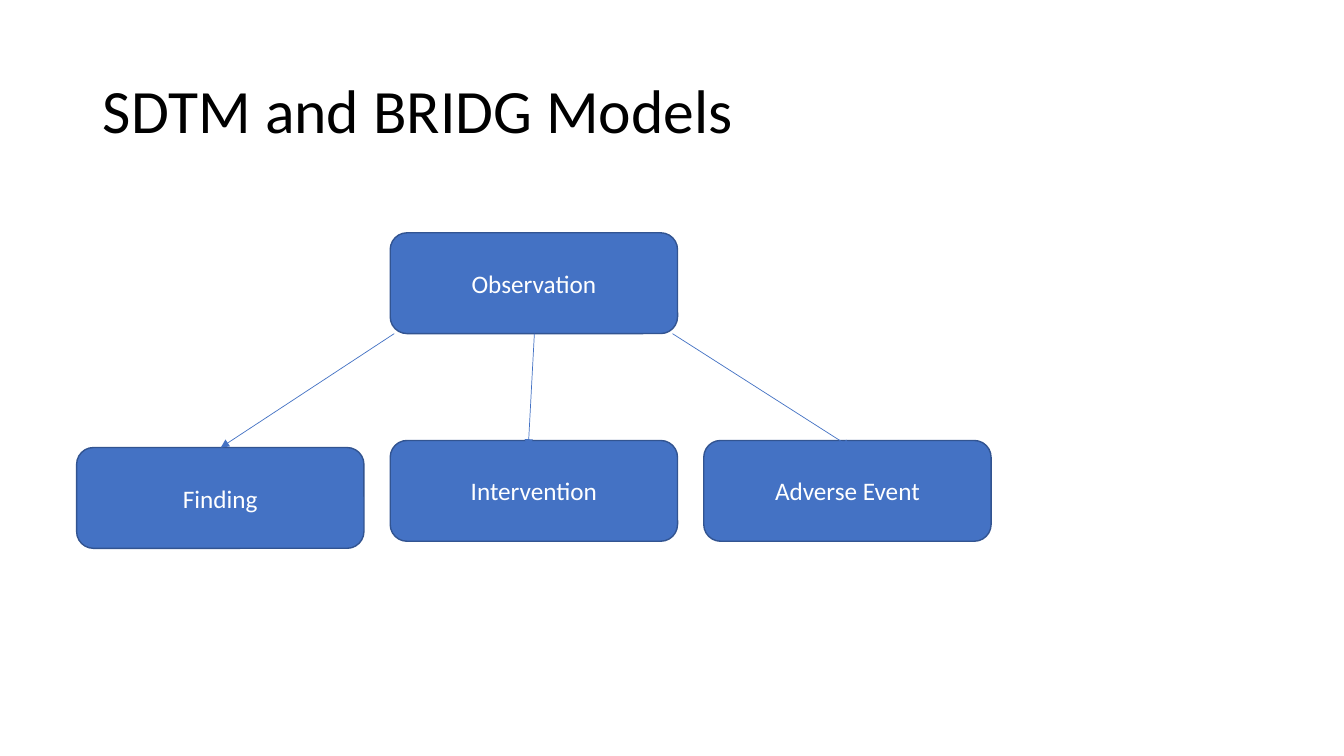
"""Build the SDTM and BRIDG model tree slide."""
from lxml import etree
from pptx import Presentation
from pptx import util as u
from pptx.dml.color import RGBColor
from pptx.enum import shapes, text
from pptx.oxml.ns import qn

HUE = {"ink": "000000", "box": "4472C4", "edge": "325491", "label": "FFFFFF"}
TITLE = "SDTM and BRIDG Models"
ROOT, KIDS_TOP = 2.31, 4.44
LEFT, STEP, WIDE, HIGH = 0.76, 3.11, 2.85, 1
NODES = [("Observation", 1, ROOT), ("Adverse Event", 2, 4.37),
         ("Intervention", 1, 4.37), ("Finding", 0, KIDS_TOP)]
ARROWS = [(5.3, 5.24), (3.91, 2.19), (6.67, 8.44)]


def tint(name):
    return RGBColor.from_string(HUE[name])


def style(shape, words, size, color, align, **more):
    frame = shape.text_frame
    frame.text = words
    frame.word_wrap = True
    frame.vertical_anchor = text.MSO_ANCHOR.MIDDLE
    para = frame.paragraphs[0]
    for key, val in {"alignment": align, **more}.items():
        setattr(para, key, val)
    font = para.runs[0].font
    for key, val in {"name": "Calibri", "size": u.Pt(size)}.items():
        setattr(font, key, val)
    font.color.rgb = tint(color)


def stroke(line, color, width):
    line.color.rgb = tint(color)
    line.width = u.Pt(width)


def node(slide, words, col, top):
    place = (LEFT + col * STEP, top, WIDE, HIGH)
    box = slide.shapes.add_shape(shapes.MSO_SHAPE.ROUNDED_RECTANGLE, *map(u.Inches, place))
    box.shadow.inherit = False
    box.fill.solid()
    box.fill.fore_color.rgb = tint("box")
    stroke(box.line, "edge", 1)
    style(box, words, 18, "label", text.PP_ALIGN.CENTER)


def arrow(slide, start, end):
    ends = (start, ROOT + HIGH, end, KIDS_TOP)
    link = slide.shapes.add_connector(shapes.MSO_CONNECTOR.STRAIGHT, *map(u.Inches, ends))
    stroke(link.line, "box", 0.5)
    etree.SubElement(link.line._get_or_add_ln(), qn("a:tailEnd"), type="triangle")
    etree.SubElement(link._element.spPr, qn("a:effectLst"))


deck = Presentation()
deck.slide_width, deck.slide_height = u.Inches(13.33), u.Inches(7.5)
slide = deck.slides.add_slide(deck.slide_layouts[5])
head = slide.shapes.title
for key, val in {"left": 0.92, "top": 0.4, "width": 11.5, "height": 1.45}.items():
    setattr(head, key, u.Inches(val))
style(head, TITLE, 44, "ink", text.PP_ALIGN.LEFT, line_spacing=0.9)
for item in NODES:
    node(slide, *item)
for pair in ARROWS:
    arrow(slide, *pair)
deck.save("out.pptx")
